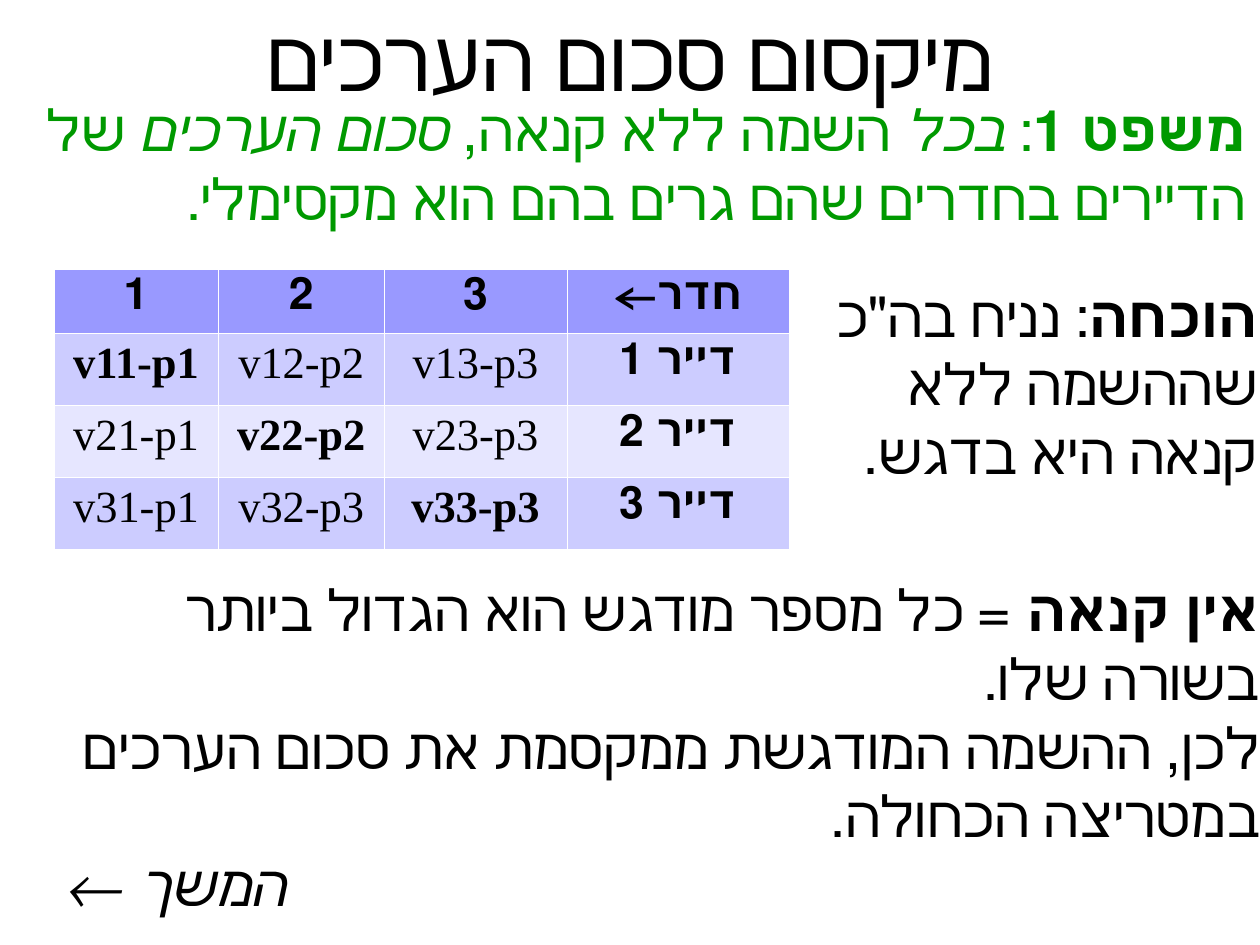
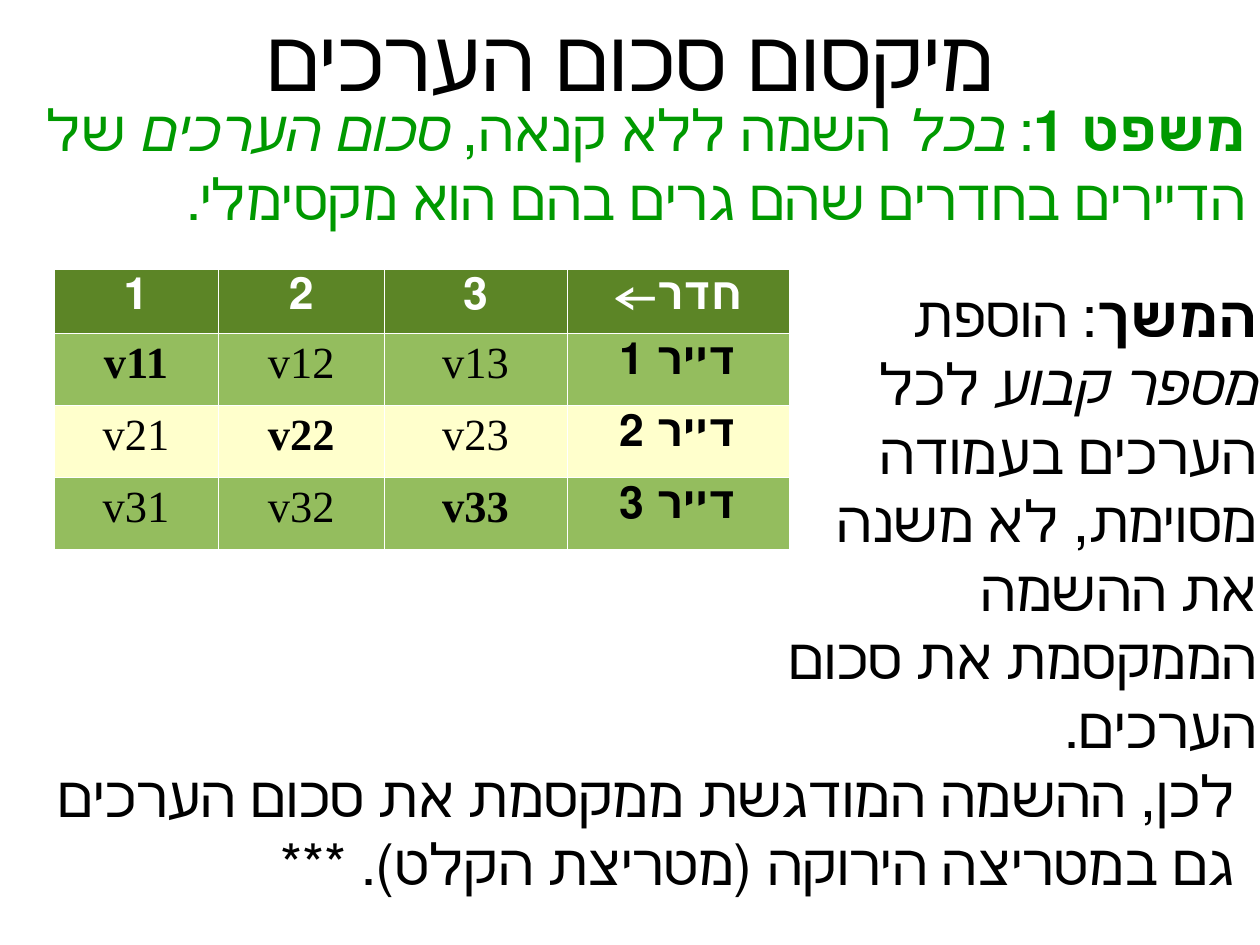
import lxml.etree
import pptx
import pptx.dml.color
import pptx.enum.text
import pptx.oxml.ns
import pptx.util

Inches = pptx.util.Inches
Pt = pptx.util.Pt
qn = pptx.oxml.ns.qn
ALIGN = pptx.enum.text.PP_ALIGN
ANCHOR = pptx.enum.text.MSO_ANCHOR

COLOURS = {"text": "000000", "theorem": "009900", "border": "FFFFFF"}
BLUE = {"header": "9999FF", "header text": "000000", "odd": "CCCCFF", "even": "E6E6FF"}
GREEN = {"header": "5C8526", "header text": "FFFFFF", "odd": "94BD5E", "even": "FFFFCC"}

TITLE = "מיקסום סכום הערכים"
THEOREM = [("משפט 1", "b"), (": ", ""), ("בכל", "i"), (" השמה ללא קנאה, ", ""),
           ("סכום הערכים", "i"), (" של הדיירים בחדרים שהם גרים בהם הוא מקסימלי.", "")]
HEADER = ["1", "2", "3", "חדר←"]
COLUMN_WIDTHS = [1.44, 1.45, 1.6, 1.94]
ROW_HEIGHTS = [0.56, 0.63, 0.63, 0.63]

# Each text: box (left, top, width, height) and paragraphs of (alignment, runs)
SLIDES = [
    {"palette": BLUE,
     "values": [["v11-p1", "v12-p2", "v13-p3"],
                ["v21-p1", "v22-p2", "v23-p3"],
                ["v31-p1", "v32-p3", "v33-p3"]],
     "texts": [
         ((7.1, 2.4, 4, 2.3),
          [(ALIGN.RIGHT, [("הוכחה", "b"), (": נניח בה\"כ שההשמה ללא קנאה היא בדגש.", "")])]),
         ((0.5, 4.98, 10.62, 2.9),
          [(ALIGN.RIGHT, [("אין קנאה ", "b"),
                          ("= כל מספר מודגש הוא הגדול ביותר בשורה שלו.", "")]),
           (ALIGN.RIGHT, [("לכן, ההשמה המודגשת ממקסמת את סכום הערכים במטריצה הכחולה.", "")]),
           (ALIGN.LEFT, [("המשך ←", "i")])])]},
    {"palette": GREEN,
     "values": [["v11", "v12", "v13"], ["v21", "v22", "v23"], ["v31", "v32", "v33"]],
     "texts": [
         ((6.7, 2.4, 4.4, 4.1),
          [(ALIGN.RIGHT, [("המשך", "b"), (": הוספת ", ""), ("מספר קבוע", "i"),
                          (" לכל הערכים בעמודה מסוימת, לא משנה את ההשמה "
                           "הממקסמת את סכום הערכים.", "")])]),
         ((0.28, 6.6, 10.62, 1.22),
          [(ALIGN.RIGHT, [("לכן, ההשמה המודגשת ממקסמת את סכום הערכים גם במטריצה "
                           "הירוקה (מטריצת הקלט). ***", "")])])]},
]


def write(paragraph, runs, size, colour, alignment, font_name="Arial", right_to_left=True):
    """Fill a paragraph with runs of (text, style), style being "", "b" or "i"."""
    paragraph.alignment = alignment
    paragraph.font.size = Pt(size)
    paragraph.font.name = font_name
    paragraph.font.color.rgb = pptx.dml.color.RGBColor.from_string(colour)
    paragraph._p.get_or_add_pPr().set("rtl", "1" if right_to_left else "0")
    for text, style in runs:
        run = paragraph.add_run()
        run.text = text
        run.font.bold = style == "b"
        run.font.italic = style == "i"


def add_text(slide, box, paragraphs, colour, margins=True):
    shape = slide.shapes.add_textbox(*[Inches(length) for length in box])
    frame = shape.text_frame
    frame.word_wrap = True
    if not margins:
        frame.margin_left = frame.margin_right = frame.margin_top = frame.margin_bottom = 0
    for index, (alignment, runs) in enumerate(paragraphs):
        paragraph = frame.add_paragraph() if index else frame.paragraphs[0]
        write(paragraph, runs, 36, colour, alignment)


# The page is 28 by 21 centimetres
presentation = pptx.Presentation()
presentation.slide_width = pptx.util.Cm(28)
presentation.slide_height = pptx.util.Cm(21)

for content in SLIDES:
    slide = presentation.slides.add_slide(presentation.slide_layouts[5])
    palette = content["palette"]

    # Title
    title = slide.shapes.title
    title.left, title.top = 0, 0
    title.width, title.height = presentation.slide_width, Inches(1)
    frame = title.text_frame
    frame.margin_left = frame.margin_right = frame.margin_top = frame.margin_bottom = 0
    frame.vertical_anchor = ANCHOR.MIDDLE
    frame.auto_size = pptx.enum.text.MSO_AUTO_SIZE.NONE
    write(frame.paragraphs[0], [(TITLE, "")], 54, COLOURS["text"], ALIGN.CENTER)

    # Theorem
    add_text(slide, (0.1, 0.83, 10.8, 1.07), [(ALIGN.RIGHT, THEOREM)],
             COLOURS["theorem"], margins=False)

    # Matrix of tenants and rooms, with the assignment on the diagonal in bold
    table = slide.shapes.add_table(4, 4, Inches(0.47), Inches(2.35), Inches(sum(COLUMN_WIDTHS)),
                                   Inches(sum(ROW_HEIGHTS))).table
    table.first_row = table.horz_banding = False
    for column, width in zip(table.columns, COLUMN_WIDTHS):
        column.width = Inches(width)
    for row, height in zip(table.rows, ROW_HEIGHTS):
        row.height = Inches(height)
    rows = [HEADER] + [values + [f"דייר {number}"]
                       for number, values in enumerate(content["values"], 1)]
    for row_index, texts in enumerate(rows):
        band = "header" if row_index == 0 else "odd" if row_index % 2 else "even"
        colour = COLOURS["text"] if row_index else palette["header text"]
        for column_index, text in enumerate(texts):
            cell = table.cell(row_index, column_index)
            is_value = row_index > 0 and column_index < 3
            bold = not is_value or row_index == column_index + 1
            write(cell.text_frame.paragraphs[0], [(text, "b" if bold else "")], 28, colour,
                  ALIGN.CENTER, "Times New Roman" if is_value else "Arial", not is_value)
            # Borders come before the fill in the cell properties
            properties = cell._tc.get_or_add_tcPr()
            for side in ("a:lnL", "a:lnR", "a:lnT", "a:lnB"):
                line = lxml.etree.SubElement(properties, qn(side), w=str(Pt(0.06)))
                fill = lxml.etree.SubElement(line, qn("a:solidFill"))
                lxml.etree.SubElement(fill, qn("a:srgbClr"), val=COLOURS["border"])
            cell.fill.solid()
            cell.fill.fore_color.rgb = pptx.dml.color.RGBColor.from_string(palette[band])

    # Proof
    for box, paragraphs in content["texts"]:
        add_text(slide, box, paragraphs, COLOURS["text"])

presentation.save("out.pptx")
